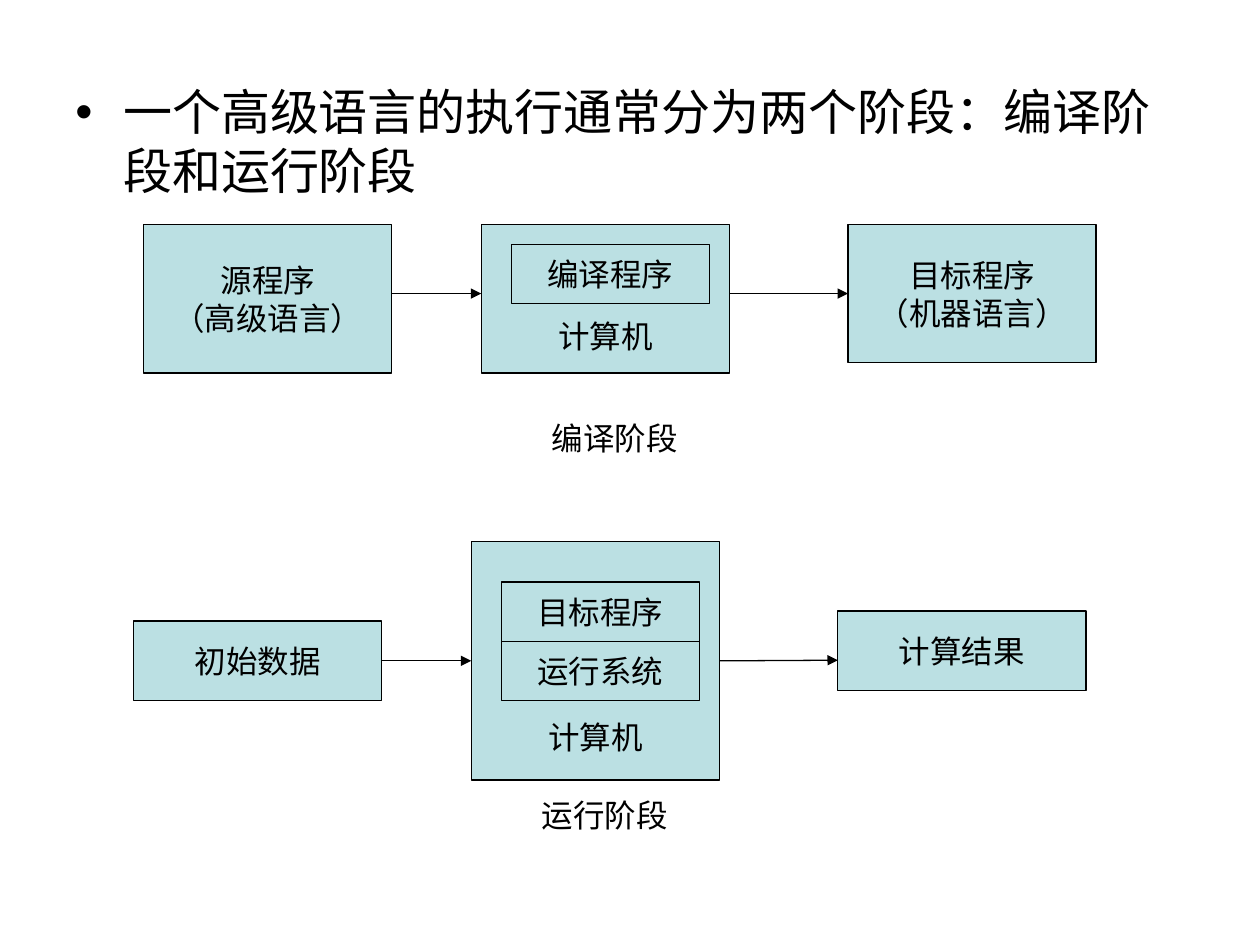
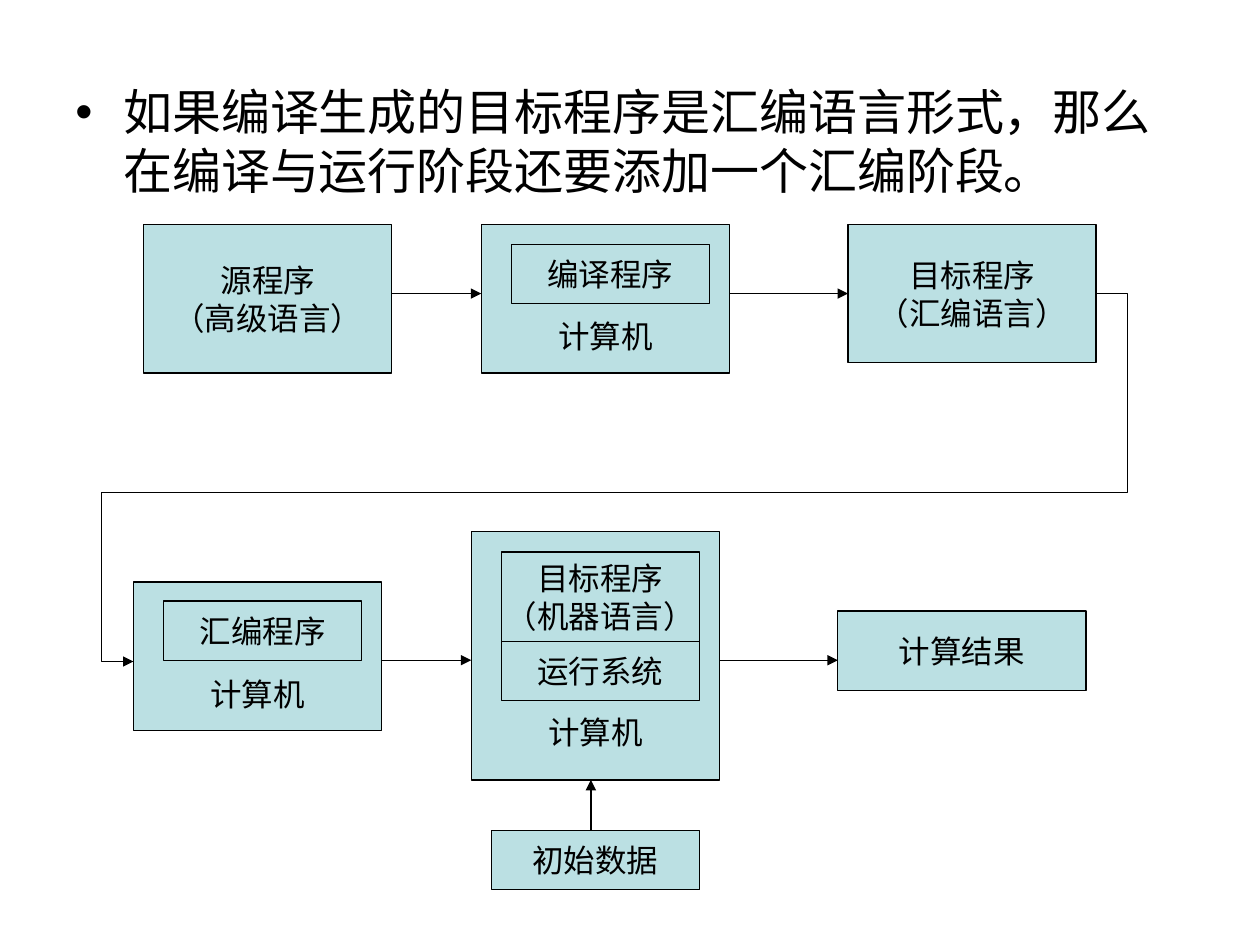
from lxml.etree import SubElement
from pptx import Presentation
from pptx.dml.color import RGBColor
from pptx.enum.shapes import MSO_CONNECTOR, MSO_SHAPE
from pptx.enum.text import MSO_ANCHOR, PP_ALIGN
from pptx.oxml.ns import qn
from pptx.util import Inches, Pt

BLACK = RGBColor(0x00, 0x00, 0x00)
PALE_TEAL = RGBColor(0xBB, 0xE0, 0xE3)
LABEL_FONT = "DejaVu Sans"
BODY_FONT = "Arial"
BOX_WIDTH = 1.97
PART_WIDTH = 1.57
PART_HEIGHT = 0.47
RUN_LINE = 5.24


def add_text(page, text, place, fill=None, font=BODY_FONT, size=18,
             align=PP_ALIGN.CENTER, anchor=MSO_ANCHOR.MIDDLE, bottom=0.05,
             wrap=False, bullet=None):
    lengths = [Inches(length) for length in place]
    if fill is None:
        box = page.shapes.add_textbox(*lengths)
    else:
        box = page.shapes.add_shape(MSO_SHAPE.RECTANGLE, *lengths)
        box.shadow.inherit = False
        box.fill.solid()
        box.fill.fore_color.rgb = fill
        box.line.color.rgb = BLACK
        box.line.width = Pt(0.75)
    frame = box.text_frame
    frame.word_wrap = wrap
    frame.vertical_anchor = anchor
    frame.margin_bottom = Inches(bottom)
    for number, line in enumerate(text.split("\n")):
        para = frame.add_paragraph() if number else frame.paragraphs[0]
        para.alignment = align
        if bullet:
            properties = para._p.get_or_add_pPr()
            properties.set("marL", str(Inches(0.38)))
            properties.set("indent", str(-Inches(0.38)))
            SubElement(properties, qn("a:buFont"), typeface=BODY_FONT)
            SubElement(properties, qn("a:buChar"), char=bullet)
        span = para.add_run()
        span.text = line
        span.font.name = font
        span.font.size = Pt(size)
        span.font.color.rgb = BLACK
    return box


def add_arrow(page, start, end, kind=MSO_CONNECTOR.STRAIGHT, source=None, target=None):
    arrow = page.shapes.add_connector(kind, *[Inches(length) for length in (*start, *end)])
    arrow.line.color.rgb = BLACK
    arrow.line.width = Pt(0.75)
    SubElement(arrow.line._get_or_add_ln(), qn("a:tailEnd"), type="triangle")
    SubElement(arrow._element.spPr, qn("a:effectLst"))
    if source is not None:
        arrow.begin_connect(source, 3)
    if target is not None:
        arrow.end_connect(target, 1)
    return arrow


deck = Presentation()
deck.slide_width = Inches(10)
deck.slide_height = Inches(7.5)

label = {"fill": PALE_TEAL, "font": LABEL_FONT}
computer = {**label, "anchor": MSO_ANCHOR.BOTTOM}
part = {"fill": PALE_TEAL}
caption = {"wrap": True, "anchor": MSO_ANCHOR.TOP}

topics = [
    ("一个高级语言的执行通常分为两个阶段：编译阶段和运行阶段", "机器语言", 4.3, 0.19),
    ("如果编译生成的目标程序是汇编语言形式，那么在编译与运行阶段还要添加一个汇编阶段。",
     "汇编语言", 4.22, 0.23),
]
pages = []
for heading, target_language, runner_top, runner_bottom in topics:
    page = deck.slides.add_slide(deck.slide_layouts[6])
    add_text(page, heading, (0.5, 0.6, 9, 6.1), size=28, align=PP_ALIGN.LEFT,
             anchor=MSO_ANCHOR.TOP, wrap=True, bullet="•")

    add_text(page, "源程序\n（高级语言）", (1.14, 1.78, BOX_WIDTH, 1.18), **label)
    add_text(page, "计算机", (3.82, 1.78, BOX_WIDTH, 1.18), bottom=0.14, **computer)
    target_program = add_text(page, f"目标程序\n（{target_language}）",
                              (6.73, 1.78, BOX_WIDTH, 1.1), **label)
    add_text(page, "编译程序", (4.06, 1.94, PART_WIDTH, PART_HEIGHT), **part)
    add_arrow(page, (3.11, 2.33), (3.82, 2.33))
    add_arrow(page, (5.79, 2.33), (6.73, 2.33), target=target_program)

    runner = add_text(page, "计算机", (3.74, runner_top, BOX_WIDTH, 6.19 - runner_top),
                      bottom=runner_bottom, **computer)
    add_text(page, "计算结果", (6.65, 4.85, BOX_WIDTH, 0.63), **label)
    add_text(page, "运行系统", (3.98, 5.09, PART_WIDTH, PART_HEIGHT), **part)
    pages.append((page, runner))

(two_stages, runner), (three_stages, assembly_runner) = pages

initial_data = add_text(two_stages, "初始数据", (1.06, 4.93, BOX_WIDTH, 0.63), **label)
add_text(two_stages, "目标程序", (3.98, 4.62, PART_WIDTH, PART_HEIGHT), **part)
add_text(two_stages, "编译阶段", (3.66, 3.28, 2.44, 0.4), **caption)
add_text(two_stages, "运行阶段", (3.58, 6.27, 2.44, 0.4), **caption)
add_arrow(two_stages, (3.03, RUN_LINE), (3.74, RUN_LINE), source=initial_data, target=runner)
add_arrow(two_stages, (5.71, RUN_LINE), (6.65, RUN_LINE), source=runner)

add_text(three_stages, "目标程序\n（机器语言）", (3.98, 4.38, PART_WIDTH, 0.71), **part)
add_text(three_stages, "计算机", (1.06, 4.62, BOX_WIDTH, 1.18), bottom=0.14, **computer)
add_text(three_stages, "汇编程序", (1.3, 4.77, PART_WIDTH, PART_HEIGHT), **part)
add_text(three_stages, "初始数据", (3.9, 6.59, 1.65, PART_HEIGHT), **part)
add_arrow(three_stages, (3.03, RUN_LINE), (3.74, RUN_LINE))
add_arrow(three_stages, (5.71, RUN_LINE), (6.65, RUN_LINE))
add_arrow(three_stages, (4.69, 6.59), (4.69, 6.19))

return_path = add_arrow(three_stages, (8.7, 2.33), (1.06, 5.25), kind=MSO_CONNECTOR.ELBOW)
geometry = return_path._element.spPr.find(qn("a:prstGeom"))
geometry.set("prst", "bentConnector5")
guides = geometry.find(qn("a:avLst"))
for number, share in enumerate((-3300, 54000, 103300), start=1):
    SubElement(guides, qn("a:gd"), name=f"adj{number}", fmla=f"val {share}")

deck.save("out.pptx")
